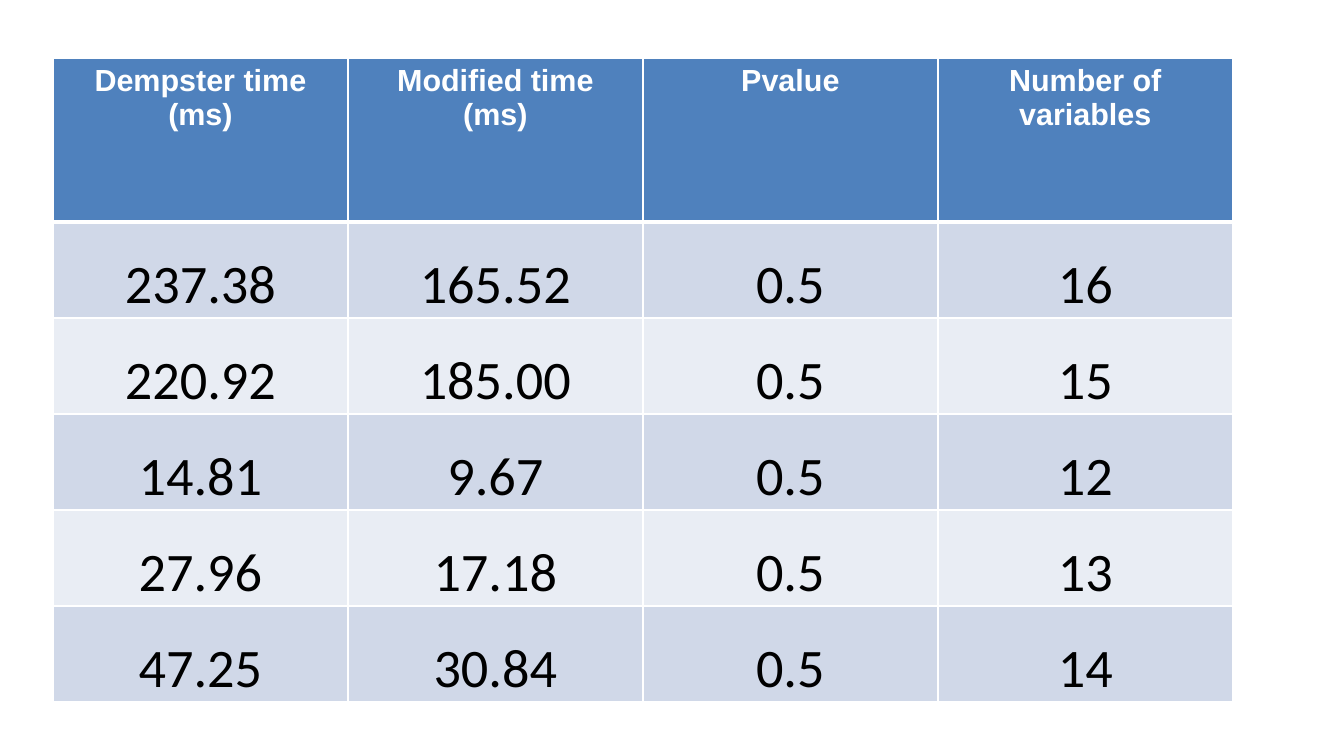
import dataclasses

import pptx
import pptx.dml.color
import pptx.enum.text
import pptx.oxml.ns
import pptx.util
from lxml import etree

PIXEL = pptx.util.Inches(1) / 122
SLIDE_SIZE = (1344, 756)
TABLE_LEFT, TABLE_TOP = 53, 58
COLUMN_WIDTH = 295
HEADER_HEIGHT, ROW_HEIGHT = 164, 96

HEADERS = [
    ["Dempster time (ms)"],
    ["Modified time", "(ms)"],
    ["Pvalue"],
    ["Number of variables"],
]
TIMINGS = [
    ("237.38", "165.52", "0.5", "16"),
    ("220.92", "185.00", "0.5", "15"),
    ("14.81", "9.67", "0.5", "12"),
    ("27.96", "17.18", "0.5", "13"),
    ("47.25", "30.84", "0.5", "14"),
]


@dataclasses.dataclass(frozen=True)
class TextStyle:
    """Font settings of one kind of cell."""

    font: str
    size: int
    color: str
    bold: bool


@dataclasses.dataclass(frozen=True)
class Theme:
    """Colours, line widths and text styles of the slide."""

    header_fill: str = "4F81BD"
    band_fills: tuple = ("D0D8E8", "E9EDF4")
    border: str = "FFFFFF"
    thin: int = 1
    thick: int = 3
    header_text: TextStyle = TextStyle("Arial", 18, "FFFFFF", True)
    value_text: TextStyle = TextStyle("Calibri", 32, "000000", False)


THEME = Theme()


def emu(pixels):
    """Turn pixels into EMU."""
    return pptx.util.Emu(round(pixels * PIXEL))


def rgb(color):
    """Turn a hex string into a colour."""
    return pptx.dml.color.RGBColor.from_string(color)


def set_borders(cell, top, bottom):
    """Draw the four cell borders with the given top and bottom widths."""
    properties = cell._tc.get_or_add_tcPr()
    widths = {"lnL": THEME.thin, "lnR": THEME.thin, "lnT": top, "lnB": bottom}
    for side, width in widths.items():
        line = etree.SubElement(properties, pptx.oxml.ns.qn(f"a:{side}"), w=str(pptx.util.Pt(width)))
        fill = etree.SubElement(line, pptx.oxml.ns.qn("a:solidFill"))
        etree.SubElement(fill, pptx.oxml.ns.qn("a:srgbClr"), val=THEME.border)


def fill_cell(cell, lines, style, color):
    """Fill a cell with a colour and centred paragraphs."""
    cell.fill.solid()
    cell.fill.fore_color.rgb = rgb(color)
    frame = cell.text_frame
    for index, text in enumerate(lines):
        paragraph = frame.add_paragraph() if index else frame.paragraphs[0]
        paragraph.alignment = pptx.enum.text.PP_ALIGN.CENTER
        run = paragraph.add_run()
        run.text = text
        run.font.name = style.font
        run.font.size = pptx.util.Pt(style.size)
        run.font.bold = style.bold
        run.font.color.rgb = rgb(style.color)


def add_header_cell(cell, lines):
    """Format one column heading."""
    set_borders(cell, THEME.thin, THEME.thick)
    fill_cell(cell, lines, THEME.header_text, THEME.header_fill)


def add_value_cell(cell, value, row_index):
    """Format one value at the bottom of its banded row."""
    set_borders(cell, THEME.thin if row_index else THEME.thick, THEME.thin)
    fill_cell(cell, [value], THEME.value_text, THEME.band_fills[row_index % 2])
    cell.vertical_anchor = pptx.enum.text.MSO_ANCHOR.BOTTOM
    cell.margin_left = cell.margin_right = cell.margin_top = emu(1)
    cell.margin_bottom = 0


def add_timing_table(slide):
    """Add the table that compares both running times."""
    width = COLUMN_WIDTH * len(HEADERS)
    height = HEADER_HEIGHT + ROW_HEIGHT * len(TIMINGS)
    table = slide.shapes.add_table(
        len(TIMINGS) + 1, len(HEADERS),
        emu(TABLE_LEFT), emu(TABLE_TOP), emu(width), emu(height),
    ).table
    for column in table.columns:
        column.width = emu(COLUMN_WIDTH)
    for row in table.rows:
        row.height = emu(ROW_HEIGHT)
    table.rows[0].height = emu(HEADER_HEIGHT)
    for column_index, lines in enumerate(HEADERS):
        add_header_cell(table.cell(0, column_index), lines)
    for row_index, values in enumerate(TIMINGS):
        for column_index, value in enumerate(values):
            add_value_cell(table.cell(row_index + 1, column_index), value, row_index)


def main():
    """Build and save the slide."""
    presentation = pptx.Presentation()
    presentation.slide_width, presentation.slide_height = map(emu, SLIDE_SIZE)
    slide = presentation.slides.add_slide(presentation.slide_layouts[6])
    add_timing_table(slide)
    presentation.save("out.pptx")


main()
